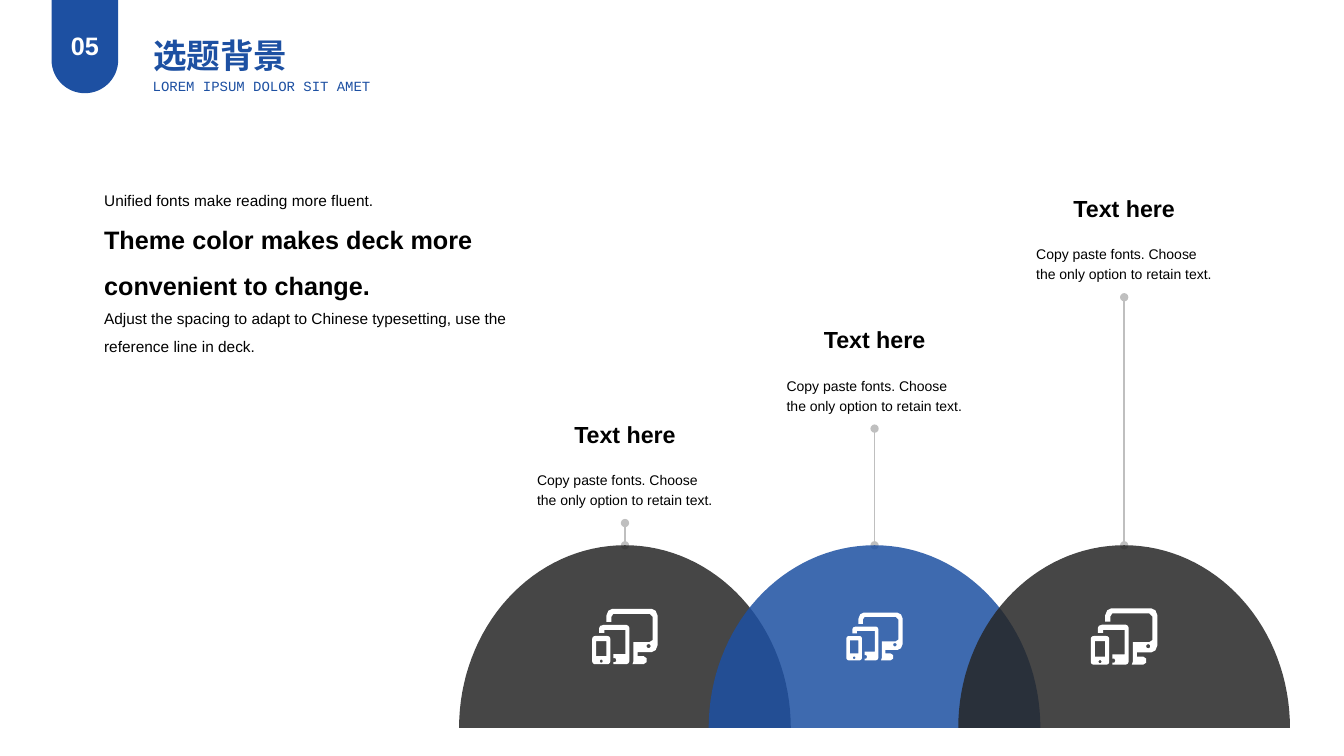
from math import cos, pi, sin

from lxml import etree
from pptx import Presentation
from pptx.dml.color import RGBColor
from pptx.enum.shapes import MSO_CONNECTOR
from pptx.enum.text import MSO_ANCHOR, MSO_AUTO_SIZE, PP_ALIGN
from pptx.oxml.ns import qn
from pptx.util import Cm, Pt

STRAIGHT = MSO_CONNECTOR.STRAIGHT
TOP, MIDDLE = MSO_ANCHOR.TOP, MSO_ANCHOR.MIDDLE
LEFT, CENTER = PP_ALIGN.LEFT, PP_ALIGN.CENTER
NO_AUTOFIT = MSO_AUTO_SIZE.NONE

COLORS = {
    "blue": "1D50A2",
    "dark": "262626",
    "line": "BFBFBF",
    "black": "000000",
    "white": "FFFFFF",
}
SANS, MONO = "Arial", "Courier New"

# Dome row: centres are evenly spaced, stems rise to a different height
DOME_WIDTH, DOME_HEIGHT, DOME_TOP = 8.36, 4.6, 13.74
FIRST_CENTER, CENTER_STEP = 15.75, 6.29
DOMES = [  # colour, top of stem, icon width
    ("dark", 13.18, 1.65),
    ("blue", 10.8, 1.42),
    ("dark", 7.49, 1.68),
]


def arc(x, y, radius_x, radius_y, start, end, steps=64):
    """Points along an ellipse, angles in half turns, y pointing down."""
    angles = [pi * (start + (end - start) * i / steps) for i in range(steps + 1)]
    return [(x + radius_x * cos(a), y + radius_y * sin(a)) for a in angles]


def rounded_box(left, top, right, bottom, radius):
    corners = [
        (right - radius, bottom - radius, 0),
        (left + radius, bottom - radius, 0.5),
        (left + radius, top + radius, 1),
        (right - radius, top + radius, 1.5),
    ]
    return [point for x, y, turn in corners
            for point in arc(x, y, radius, radius, turn, turn + 0.5, 6)]


# Device icon on a grid of 65 by 55 units; inner outlines cut holes
ICON_WIDTH, ICON_HEIGHT = 65, 55
TABLET = [
    (7, 24), (7, 19), (8, 17), (11, 16), (34, 16), (36, 17), (37, 19),
    (37, 52), (36, 54), (34, 55), (21, 55), (21, 53), (23, 53), (24, 51),
    (23, 49), (21, 49), (21, 45), (33, 45), (33, 21), (12, 21), (12, 24),
]
MONITOR = [
    (14, 13), (14, 7), (16, 2), (20, 0), (59, 0), (63, 2), (65, 7),
    (65, 36), (63, 41), (59, 43), (45, 43), (45, 47), (51, 47), (54, 49),
    (54, 53), (51, 55), (40, 55), (41, 52), (41, 33), (57, 33), (60, 31),
    (60, 8), (57, 5), (21, 5), (19, 8), (19, 13),
]
ICON = [
    rounded_box(0, 27, 18, 55, 3),
    [(4, 32), (14, 32), (14, 47), (4, 47)],
    arc(9, 52, 1.5, 1.5, 0, 2, 16),
    TABLET,
    MONITOR,
    arc(56, 37, 2, 2, 0, 2, 16),
]


def draw_outline(page, contours, color, opacity=100):
    contours = [[(Cm(x), Cm(y)) for x, y in contour] for contour in contours]
    builder = page.shapes.build_freeform(*contours[0][0])
    for index, contour in enumerate(contours):
        if index:
            builder.move_to(*contour[0])
        builder.add_line_segments(contour[1:], close=True)
    shape = builder.convert_to_shape()
    shape.shadow.inherit = False
    shape.fill.solid()
    shape.fill.fore_color.rgb = RGBColor.from_string(COLORS[color])
    shape.line.fill.background()
    if opacity < 100:
        fill_color = next(shape._element.spPr.iter(qn("a:srgbClr")))
        etree.SubElement(fill_color, qn("a:alpha"), val=str(opacity * 1000))
    return shape


def place(box, left, top, width, height):
    box.left, box.top = Cm(left), Cm(top)
    box.width, box.height = Cm(width), Cm(height)


def write(box, lines, color="black", font=SANS, align=LEFT, anchor=TOP,
          spacing=1.0, wrap=True):
    """Fill a box with (text, size, bold) lines."""
    frame = box.text_frame
    frame.text = "\n".join(text for text, _, _ in lines)
    frame.word_wrap = wrap
    frame.auto_size = NO_AUTOFIT
    frame.vertical_anchor = anchor
    for para, (_, size, bold) in zip(frame.paragraphs, lines):
        para.alignment = align
        para.line_spacing = spacing
        para.space_before = Pt(0)
        for span in para.runs:
            span.font.name, span.font.size, span.font.bold = font, Pt(size), bold
            span.font.color.rgb = RGBColor.from_string(COLORS[color])


def add_text(page, left, top, width, height, lines, **style):
    box = page.shapes.add_textbox(Cm(left), Cm(top), Cm(width), Cm(height))
    write(box, lines, **style)


def add_header(page, left, top):
    # Number badge with a round lower end
    width, height = 1.68, 2.4
    radius = width / 2
    outline = [(left, top), (left + width, top)]
    outline += arc(left + radius, top + height - radius, radius, radius, 0, 1)
    badge = draw_outline(page, [outline], "blue")
    write(badge, [("05", 18, True)], color="white", align=CENTER, anchor=MIDDLE)
    # Title and subtitle
    title = page.shapes.title
    place(title, left + 2.28, top + 0.81, 3.94, 1.27)
    write(title, [("选题背景", 24, True)], color="blue", align=CENTER, wrap=False)
    add_text(page, left + 2.3, top + 1.88, 6.1, 0.69,
             [("LOREM IPSUM DOLOR SIT AMET", 10, False)],
             color="blue", font=MONO, wrap=False)


def add_intro(page, left, top, width, height):
    body = page.placeholders[1]
    place(body, left, top, width, height)
    write(body, [
        ("Unified fonts make reading more fluent.", 11, False),
        ("Theme color makes deck more convenient to change.", 18, True),
        ("Adjust the spacing to adapt to Chinese typesetting, "
         "use the reference line in deck.", 11, False),
    ], spacing=1.5)
    for para in body.text_frame.paragraphs:
        properties = para._p.get_or_add_pPr()
        properties.set("marL", "0")
        properties.set("indent", "0")
        etree.SubElement(properties, qn("a:buNone"))


def add_stem(page, center, top, bottom):
    stem = page.shapes.add_connector(
        STRAIGHT, Cm(center), Cm(bottom), Cm(center), Cm(top))
    stem.line.color.rgb = RGBColor.from_string(COLORS["line"])
    stem.line.width = Pt(1)
    properties = stem._element.spPr
    for end in ("a:headEnd", "a:tailEnd"):
        etree.SubElement(properties.find(qn("a:ln")), qn(end), type="oval")
    etree.SubElement(properties, qn("a:effectLst"))


def add_dome(page, center, color):
    outline = arc(center, DOME_TOP + DOME_HEIGHT, DOME_WIDTH / 2, DOME_HEIGHT, 1, 2)
    draw_outline(page, [outline], color, opacity=85)


def add_icon(page, center, middle, width):
    scale = width / ICON_WIDTH
    left, top = center - width / 2, middle - ICON_HEIGHT * scale / 2
    draw_outline(page, [[(left + x * scale, top + y * scale) for x, y in contour]
                        for contour in ICON], "white")


def add_caption(page, center, bottom):
    width, heading_height, copy_height = 4.93, 0.91, 1.75
    left, copy_top = center - width / 2, bottom - copy_height
    add_text(page, left, copy_top, width, copy_height,
             [("Copy paste fonts. Choose the only option to retain text.", 10, False)],
             anchor=MIDDLE, spacing=1.2)
    add_text(page, left, copy_top - heading_height + 0.02, width, heading_height,
             [("Text here", 16.6, True)],
             align=CENTER, anchor=MIDDLE, spacing=0.8, wrap=False)


def add_dome_row(page):
    row = [(FIRST_CENTER + i * CENTER_STEP, *dome) for i, dome in enumerate(DOMES)]
    for center, _, stem_top, _ in row:
        add_stem(page, center, stem_top, DOME_TOP)
    for center, color, _, _ in row:
        add_dome(page, center, color)
    for center, _, stem_top, icon_width in row:
        add_icon(page, center, 16.04, icon_width)
        add_caption(page, center, stem_top)


def main():
    deck = Presentation()
    deck.slide_width, deck.slide_height = Cm(33.87), Cm(19.05)
    page = deck.slides.add_slide(deck.slide_layouts[1])
    add_header(page, 1.3, -0.05)
    add_intro(page, 2.37, 4.45, 11.68, 5.54)
    add_dome_row(page)
    deck.save("out.pptx")


if __name__ == "__main__":
    main()
